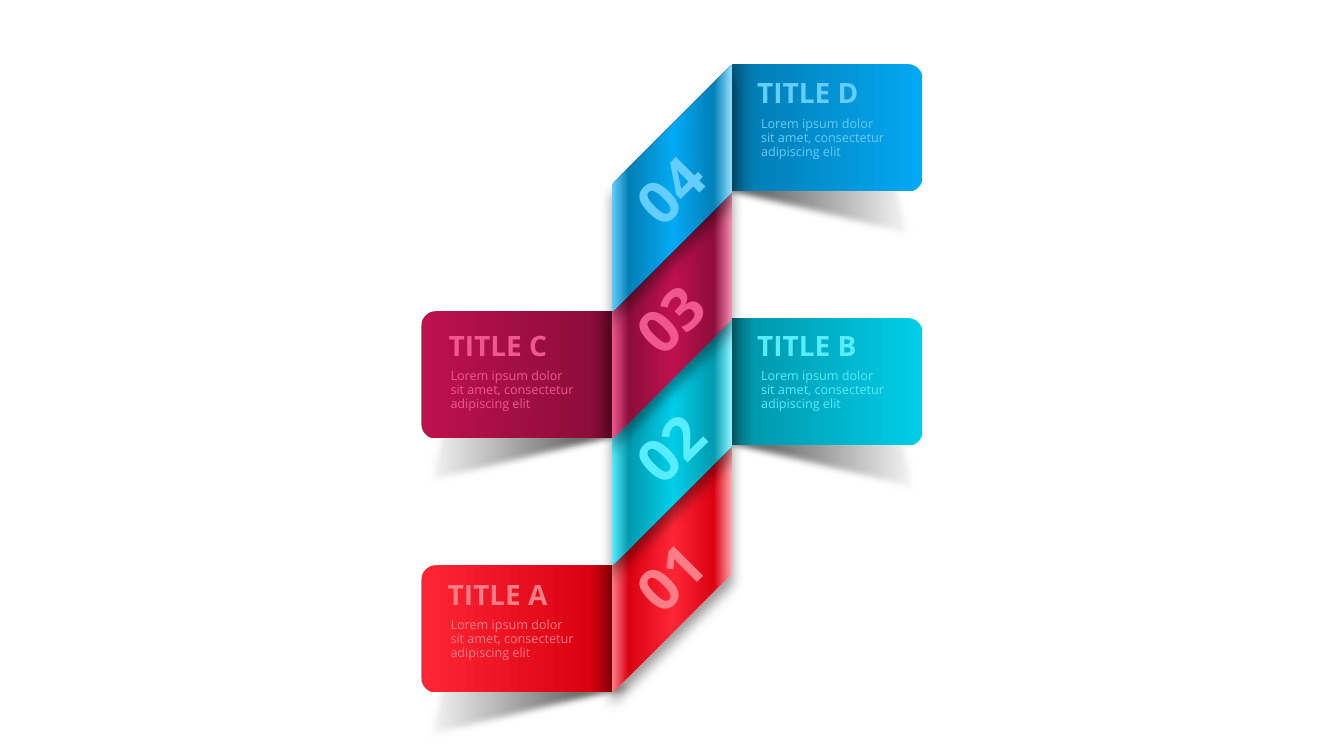
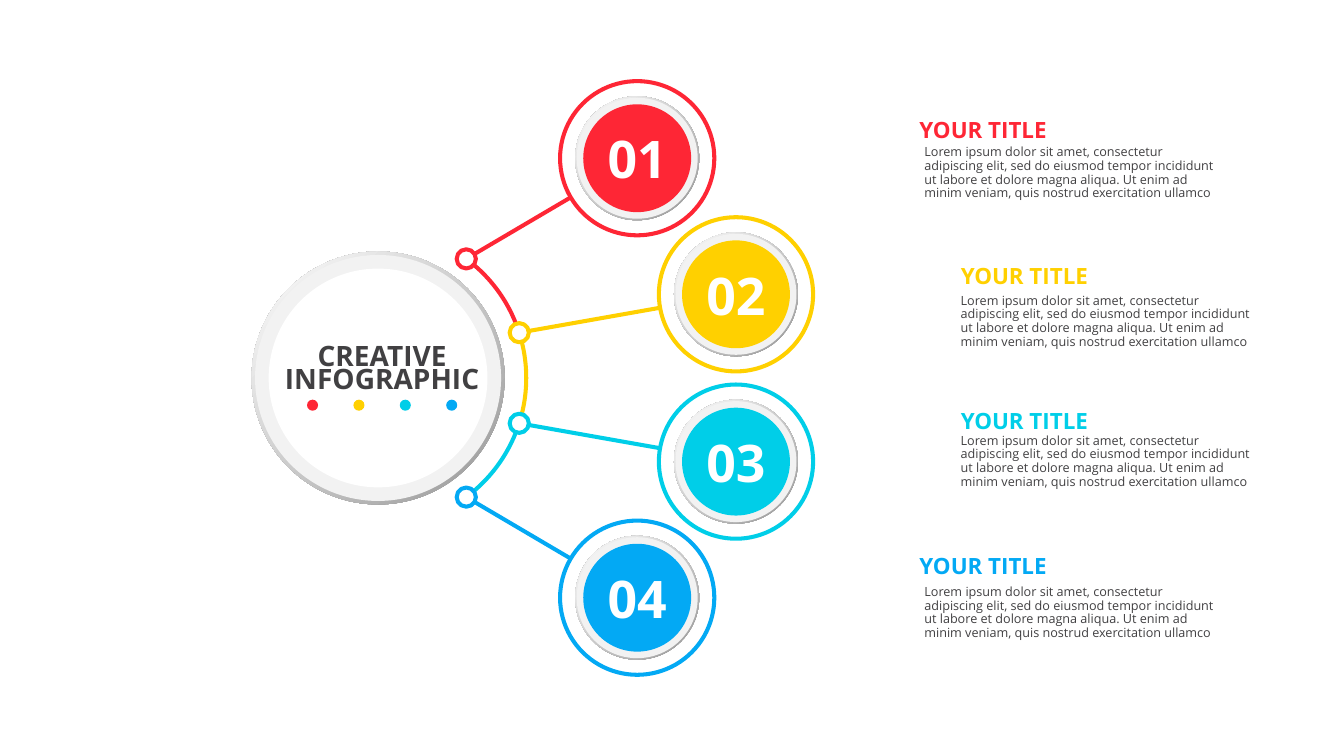
from dataclasses import dataclass
from math import cos, hypot, radians, sin

from lxml.etree import SubElement
from pptx import Presentation
from pptx.dml.color import RGBColor
from pptx.enum.shapes import MSO_CONNECTOR, MSO_SHAPE
from pptx.enum.text import MSO_ANCHOR, MSO_AUTO_SIZE, PP_ALIGN
from pptx.oxml.ns import qn
from pptx.util import Inches, Pt


@dataclass(frozen=True)
class Hue:
    base: str
    mid: str = ""
    dark: str = ""
    tint: str = ""
    pale: str = ""


@dataclass(frozen=True)
class Theme:
    font: str = "Open Sans"
    red: Hue = Hue("FE2635", "DA0110", "91010B", "FE7D86", "FFA8AE")
    teal: Hue = Hue("00CEE8", "009AAE", "006774", "58ECFF", "90F3FF")
    plum: Hue = Hue("BD114D", "8E0D3A", "5E0826", "F0588D", "F58FB3")
    blue: Hue = Hue("03A9F4", "027FB7", "01557A", "63CDFD", "97DEFE")
    gold: Hue = Hue("FFD000")
    ink: str = "414042"
    white: str = "FFFFFF"
    black: str = "000000"
    rim: str = "F2F2F2"
    gray: str = "979797"
    small: float = 9
    head: float = 16
    title: float = 20
    disc: float = 37
    step: float = 42
    line: float = 2.88


T = Theme()
LEFT, RIGHT = 6.07, 7.26
CARD_W, CARD_H = 1.89, 1.26
SHORT = "Lorem ipsum dolor sit amet, consectetur adipiscing elit"
LONG = (SHORT + ", sed do eiusmod tempor incididunt ut labore et dolore magna "
        "aliqua. Ut enim ad minim veniam, quis nostrud exercitation ullamco")


def rgb(code):
    return RGBColor.from_string(code)


def blend(shape, stops, angle):
    shape.fill.gradient()
    shape.fill.gradient_angle = angle
    bag = next(shape._element.spPr.iter(qn("a:gsLst")))
    for old in list(bag):
        bag.remove(old)
    for spot, code in stops:
        stop = SubElement(bag, qn("a:gs"), pos=str(spot * 1000))
        SubElement(stop, qn("a:srgbClr"), val=code)


def effect(item, name, **values):
    bag = item._element.spPr.find(qn("a:effectLst"))
    return SubElement(bag, qn("a:" + name), **values)


def outline(slide, points):
    spots = [(Inches(x), Inches(y)) for x, y in points]
    pen = slide.shapes.build_freeform(*spots[0])
    pen.add_line_segments(spots[1:], close=True)
    shape = pen.convert_to_shape()
    shape.shadow.inherit = False
    shape.line.fill.background()
    return shape


def round_shape(slide, x, y, size, kind=MSO_SHAPE.OVAL):
    half = size / 2
    shape = slide.shapes.add_shape(
        kind, Inches(x - half), Inches(y - half), Inches(size), Inches(size))
    shape.shadow.inherit = False
    return shape


def disc(slide, x, y, size, color):
    shape = round_shape(slide, x, y, size)
    shape.line.fill.background()
    shape.fill.solid()
    shape.fill.fore_color.rgb = rgb(color)
    return shape


def stroke(line, color):
    line.color.rgb = rgb(color)
    line.width = Pt(T.line)


def ring(slide, x, y, size, color):
    shape = round_shape(slide, x, y, size)
    shape.fill.background()
    stroke(shape.line, color)


def arc(slide, x, y, size, start, end, color):
    shape = round_shape(slide, x, y, size, MSO_SHAPE.ARC)
    shape.adjustments[0] = start % 360 * 0.6
    shape.adjustments[1] = end % 360 * 0.6
    shape.fill.background()
    stroke(shape.line, color)


def link(slide, start, end, color):
    line = slide.shapes.add_connector(
        MSO_CONNECTOR.STRAIGHT, *(Inches(v) for v in start + end))
    stroke(line.line, color)
    SubElement(line._element.spPr, qn("a:effectLst"))


def button(slide, x, y, *rings):
    edge, rim, face, color = rings
    blend(disc(slide, x, y, edge, T.gray), [(0, T.gray), (100, T.white)], 135)
    disc(slide, x, y, rim, T.rim)
    disc(slide, x, y, face, color)


def write(para, text, size, color, bold):
    run = para.add_run()
    run.text = text
    font = run.font
    font.name, font.size, font.bold = T.font, Pt(size), bold
    font.color.rgb = rgb(color)


def bare(frame):
    frame.margin_left = frame.margin_right = 0
    frame.margin_top = frame.margin_bottom = 0
    frame.word_wrap = False


def label(slide, box, text, size, color, align=PP_ALIGN.LEFT):
    shape = slide.shapes.add_textbox(*(Inches(v) for v in box))
    frame = shape.text_frame
    bare(frame)
    frame.vertical_anchor = MSO_ANCHOR.MIDDLE
    para = frame.paragraphs[0]
    para.alignment = align
    write(para, text, size, color, True)
    return shape


def number(slide, x, y, text, size, color):
    box = x - 0.45, y - 0.35, 0.9, 0.7
    return label(slide, box, text, size, color, PP_ALIGN.CENTER)


def note(slide, box, text, color):
    shape = slide.shapes.add_textbox(*(Inches(v) for v in box))
    frame = shape.text_frame
    frame.word_wrap = True
    para = frame.paragraphs[0]
    para.line_spacing = 0.9
    write(para, text, T.small, color, False)


def card(slide, side, top, inset, hue):
    inner = RIGHT if side > 0 else LEFT
    outer = inner + side * CARD_W
    angle = 180 if side > 0 else 0
    tip = outer - side * inset
    base = top + 1.14
    shade = outline(slide, [(tip - side * 0.14, base), (tip, base + 0.63),
                            (tip - side * 2.67, base)])
    blend(shade, [(0, T.white), (100, T.black)], angle)
    effect(shade, "softEdge", rad=str(Pt(5)))

    bend = 0.14
    turns = [radians(a) for a in range(0, 91, 10)]
    upper = [(outer - side * bend * (1 - sin(a)), top + bend * (1 - cos(a)))
             for a in turns]
    lower = [(x, 2 * top + CARD_H - y) for x, y in reversed(upper)]
    face = outline(slide, [(inner, top), *upper, *lower, (inner, top + CARD_H)])
    blend(face, [(0, hue.base), (88, hue.mid), (100, hue.dark)], angle)


def band(slide, top, hue):
    drop = RIGHT - LEFT
    shape = outline(slide, [(RIGHT, top), (LEFT, top + drop),
                            (LEFT, top + drop + CARD_H), (RIGHT, top + CARD_H)])
    blend(shape, [(0, hue.tint), (14, hue.mid), (51, hue.base),
                  (85, hue.mid), (100, hue.pale)], 0)
    cast = effect(shape, "outerShdw", blurRad=str(Pt(9)), dist=str(Pt(8)),
                  dir="5400000", algn="t", rotWithShape="0")
    tone = SubElement(cast, qn("a:srgbClr"), val=T.black)
    SubElement(tone, qn("a:alpha"), val="40000")


def ribbon(deck):
    slide = deck.slides.add_slide(deck.slide_layouts[6])
    cards = [
        ("TITLE A", T.red, -1, 5.61, 0, (4.44, 5.73), (4.37, 6.09)),
        ("TITLE B", T.teal, 1, 3.16, 0, (7.51, 3.26), (7.45, 3.62)),
        ("TITLE C", T.plum, -1, 3.09, 0, (4.45, 3.26), (4.37, 3.62)),
        ("TITLE D", T.blue, 1, 0.64, 0.06, (7.51, 0.75), (7.45, 1.12)),
    ]
    for name, hue, side, top, inset, head, body in cards:
        card(slide, side, top, inset, hue)
        label(slide, (*head, 1.4, 0.34), name, T.title, hue.tint)
        note(slide, (*body, 1.44, 0.67), SHORT, hue.tint)
    for i, row in enumerate(cards):
        band(slide, 4.42 - i * CARD_H, row[1])
    for i, row in enumerate(cards):
        mark = number(slide, 6.64, 5.72 - i * 1.28, f"{i + 1:02}",
                      T.step, row[1].tint)
        mark.rotation = 315


def along(start, end, gap):
    part = gap / hypot(end[0] - start[0], end[1] - start[1])
    return tuple(a + (b - a) * part for a, b in zip(start, end))


def center(slide, x, y):
    button(slide, x, y, 2.51, 2.44, 2.17, T.white)
    title = slide.shapes.title
    slide.shapes._spTree.append(title._element)
    title.left, title.top = Inches(x - 1.1), Inches(3.46)
    title.width, title.height = Inches(2.28), Inches(0.46)
    frame = title.text_frame
    bare(frame)
    frame.auto_size = MSO_AUTO_SIZE.NONE
    frame.vertical_anchor = MSO_ANCHOR.TOP
    for i, word in enumerate(("CREATIVE", "INFOGRAPHIC")):
        para = frame.add_paragraph() if i else frame.paragraphs[0]
        para.alignment = PP_ALIGN.CENTER
        para.line_spacing = Pt(16.6)
        write(para, word, T.title, T.ink, True)


def hub(deck):
    slide = deck.slides.add_slide(deck.slide_layouts[5])
    x, y, reach, trim = 3.75, 3.75, 1.47, 3.6
    node, loop = 0.19, 1.53
    items = [
        (T.red, -53.5, (6.32, 1.57), (9.12, 1.15), (9.07, 1.4)),
        (T.gold, -17.8, (7.3, 2.92), (9.53, 2.6), (9.43, 2.87)),
        (T.teal, 17.8, (7.3, 4.58), (9.53, 4.04), (9.43, 4.26)),
        (T.blue, 53.5, (6.32, 5.93), (9.12, 5.48), (9.07, 5.76)),
    ]
    for this, after in zip(items, items[1:]):
        arc(slide, x, y, 2 * reach, this[1] + trim, after[1] - trim,
            this[0].base)
    center(slide, x, y)
    for i, (hue, angle, spot, head, body) in enumerate(items):
        color, turn = hue.base, radians(angle)
        joint = x + reach * cos(turn), y + reach * sin(turn)
        link(slide, along(joint, spot, node / 2), along(spot, joint, loop / 2),
             color)
        ring(slide, *joint, node, color)
        ring(slide, *spot, loop, color)
        button(slide, *spot, 1.23, 1.2, 1.07, color)
        number(slide, *spot, f"{i + 1:02}", T.disc, T.white)
        disc(slide, 3.1 + i * 0.46, 4.02, 0.11, color)
        label(slide, (*head, 1.6, 0.27), "YOUR TITLE", T.head, color)
        note(slide, (*body, 3.1, 0.69), LONG, T.ink)


def main():
    deck = Presentation()
    deck.slide_width, deck.slide_height = Inches(13.33), Inches(7.5)
    ribbon(deck)
    hub(deck)
    deck.save("out.pptx")


if __name__ == "__main__":
    main()
